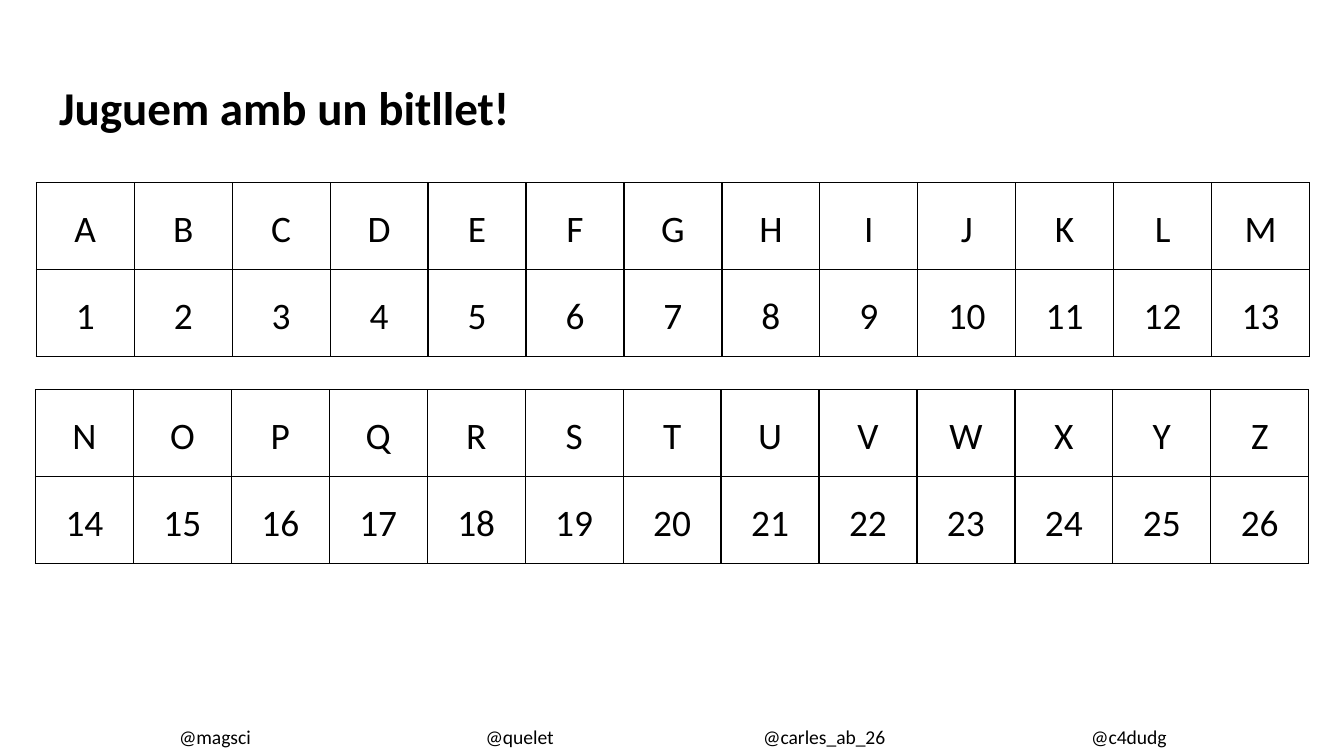
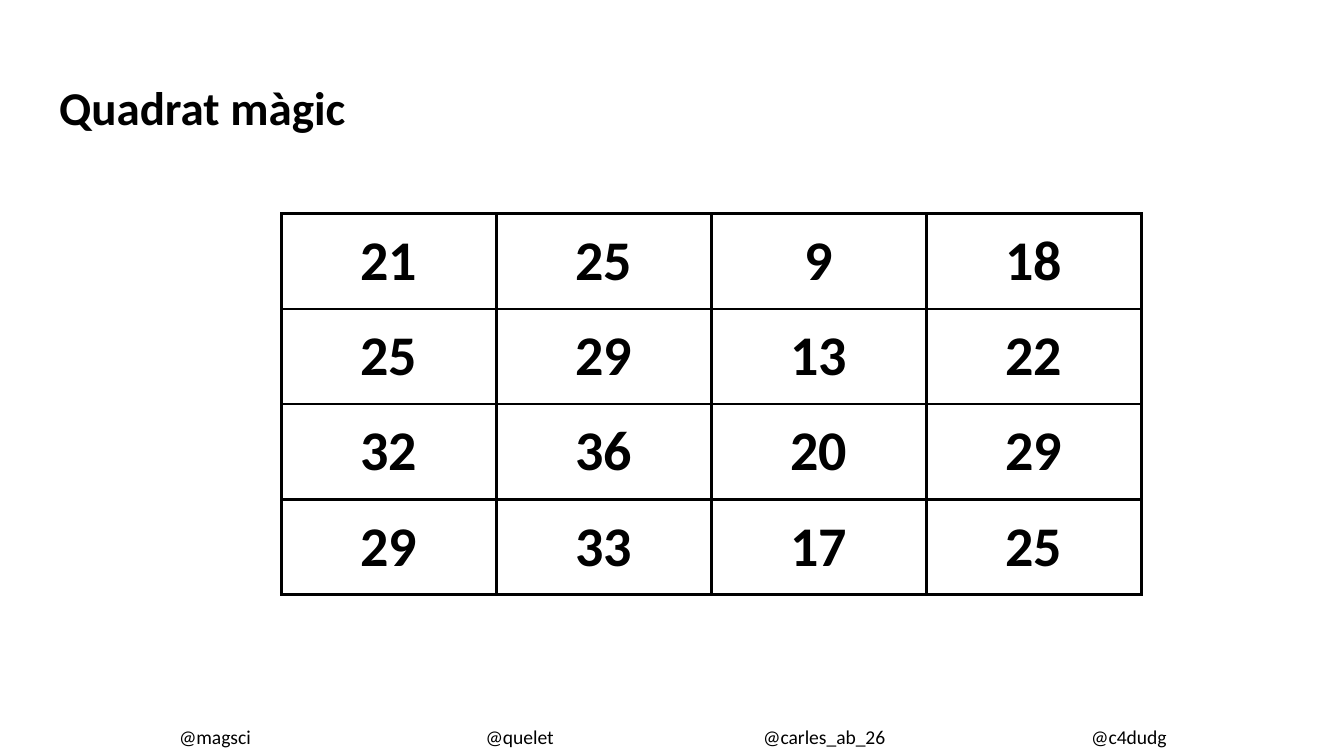
from dataclasses import dataclass

from lxml import etree
from pptx import Presentation
from pptx.dml.color import RGBColor
from pptx.enum.text import MSO_ANCHOR, MSO_AUTO_SIZE, PP_ALIGN
from pptx.oxml.ns import qn
from pptx.util import Inches, Pt

LEFT, CENTER = PP_ALIGN.LEFT, PP_ALIGN.CENTER
TOP, MIDDLE = MSO_ANCHOR.TOP, MSO_ANCHOR.MIDDLE
NONE, GROW = MSO_AUTO_SIZE.NONE, MSO_AUTO_SIZE.SHAPE_TO_FIT_TEXT


@dataclass(frozen=True)
class Theme:
    """Hold the font, colours, sizes and insets of the deck."""
    font: str = "Calibri"
    ink: str = "000000"
    paper: str = "FFFFFF"
    title: float = 25.2
    foot: float = 10.5
    code: float = 20
    magic: float = 30
    thin: float = 0.75
    thick: float = 1.5
    inset: float = 0.1


THEME = Theme()
WIDTH = Inches(10)
HEIGHT = WIDTH * 9 // 16
UNITS = 100
PADS = {f"margin_{side}": Inches(THEME.inset)
        for side in ("left", "top", "right", "bottom")}

TITLE_BOX = (3.4, 8.66, 93.2, 11.2)
FOOT_BOX = (9.3, 94.93, 81.4, 5.16)
FOOT_COLS = 13.4
CODE_BOXES = ((2.7, 24.18, 94.74, 22.98), (2.64, 51.54, 94.74, 22.98))
MAGIC_BOX = (20.93, 28.27, 64, 50.4)

HANDLES = ("@magsci", "@quelet", "@carles_ab_26", "@c4dudg")
LETTERS = "ABCDEFGHIJKLMNOPQRSTUVWXYZ"
MAGIC = ((21, 25, 9, 18), (25, 29, 13, 22), (32, 36, 20, 29), (29, 33, 17, 25))


def place(box):
    """Turn columns and rows of the slide grid into lengths."""
    sizes = (WIDTH, HEIGHT, WIDTH, HEIGHT)
    return [round(size * part / UNITS) for size, part in zip(sizes, box)]


def apply(item, values):
    """Set each attribute of an item from a dict."""
    for name, value in values.items():
        setattr(item, name, value)


def write(frame, text, size, align, bold=False, lead=1.0):
    """Write one styled paragraph into a text frame."""
    frame.text = str(text)
    para = frame.paragraphs[0]
    apply(para, {"alignment": align, "line_spacing": lead})
    font = para.runs[0].font
    apply(font, {"name": THEME.font, "size": Pt(size), "bold": bold})
    font.color.rgb = RGBColor.from_string(THEME.ink)


def border(cell, width):
    """Draw a solid line on all four sides of a cell."""
    props = cell._tc.get_or_add_tcPr()
    for spot, side in enumerate("LRTB"):
        line = etree.Element(qn(f"a:ln{side}"), w=str(Pt(width)))
        fill = etree.SubElement(line, qn("a:solidFill"))
        etree.SubElement(fill, qn("a:srgbClr"), val=THEME.ink)
        props.insert(spot, line)


def add_title(slide, text, box):
    """Fill and move the title placeholder."""
    title = slide.shapes.title
    apply(title, dict(zip(("left", "top", "width", "height"), place(box))))
    apply(title.text_frame, PADS | {
        "vertical_anchor": TOP, "word_wrap": True, "auto_size": NONE})
    write(title.text_frame, text, THEME.title, LEFT, bold=True)


def add_foot(slide, box):
    """Spread the handles evenly over the footer."""
    left, top, width, height = box
    step = (width - FOOT_COLS) / (len(HANDLES) - 1)
    for num, handle in enumerate(HANDLES):
        spot = place((left + num * step, top, FOOT_COLS, height))
        frame = slide.shapes.add_textbox(*spot).text_frame
        apply(frame, {"vertical_anchor": MIDDLE, "word_wrap": True,
                      "auto_size": GROW})
        write(frame, handle, THEME.foot, CENTER)


def add_grid(slide, rows, box, line, **style):
    """Fill a box with a ruled table of centred values."""
    frame = slide.shapes.add_table(len(rows), len(rows[0]), *place(box))
    table = frame.table
    apply(table, {"first_row": False, "horz_banding": False})
    for row, values in enumerate(rows):
        for col, value in enumerate(values):
            cell = table.cell(row, col)
            apply(cell, PADS | {"vertical_anchor": MIDDLE})
            cell.fill.background()
            border(cell, line)
            write(cell.text_frame, value, align=CENTER, **style)


def add_page(deck, title):
    """Add a slide with the shared ground, title and footer."""
    slide = deck.slides.add_slide(deck.slide_layouts.get_by_name("Title Only"))
    fill = slide.background.fill
    fill.solid()
    fill.fore_color.rgb = RGBColor.from_string(THEME.paper)
    add_foot(slide, FOOT_BOX)
    add_title(slide, title, TITLE_BOX)
    return slide


def code_page(deck):
    """Pair each letter with its place in the alphabet."""
    slide = add_page(deck, "Juguem amb un bitllet!")
    half = len(LETTERS) // len(CODE_BOXES)
    for num, box in enumerate(CODE_BOXES):
        start = num * half
        rows = (LETTERS[start:start + half], range(start + 1, start + half + 1))
        add_grid(slide, rows, box, THEME.thin, size=THEME.code, lead=1.15)


def magic_page(deck):
    """Show the magic square."""
    slide = add_page(deck, "Quadrat màgic")
    add_grid(slide, MAGIC, MAGIC_BOX, THEME.thick, size=THEME.magic, bold=True)


def main():
    """Build and save the deck."""
    deck = Presentation()
    apply(deck, {"slide_width": WIDTH, "slide_height": HEIGHT})
    code_page(deck)
    magic_page(deck)
    deck.save("out.pptx")


if __name__ == "__main__":
    main()
